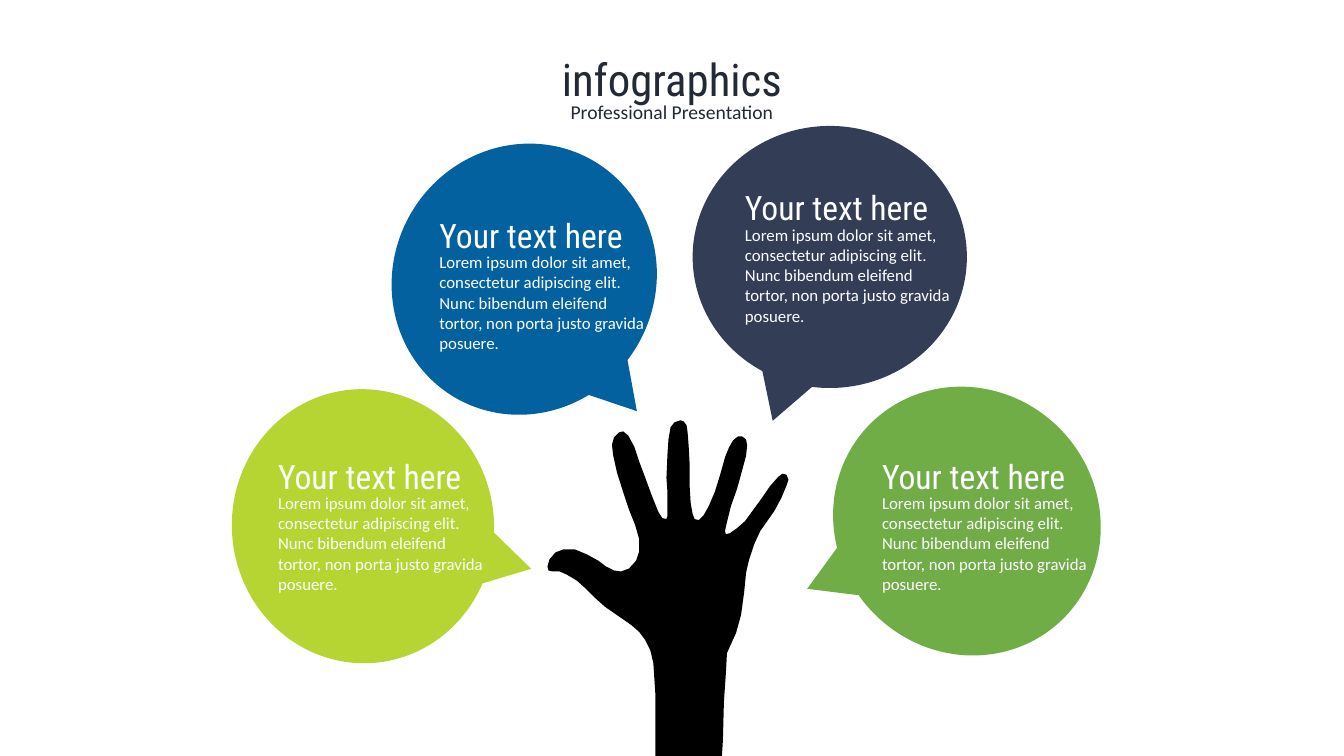
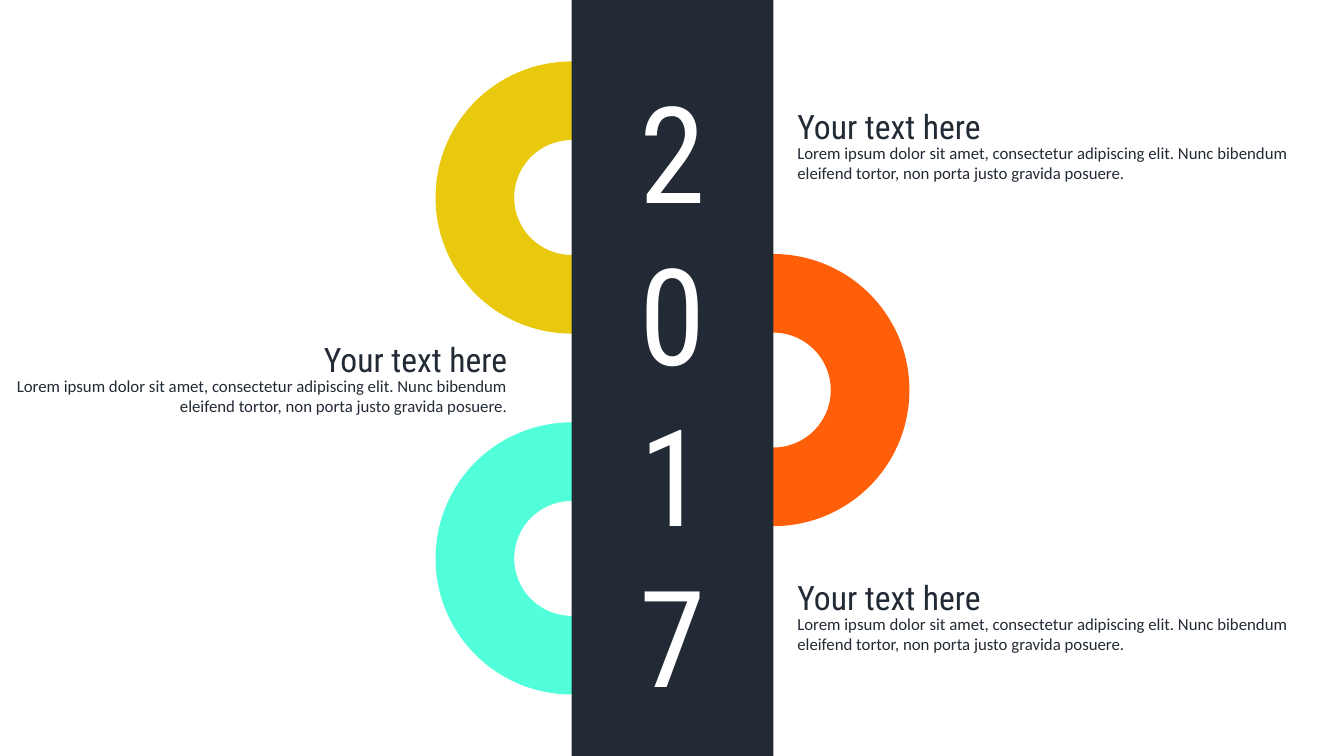
from pptx import Presentation
from pptx.dml.color import RGBColor
from pptx.enum import shapes, text
from pptx.util import Inches, Pt

INK = RGBColor(0x22, 0x2A, 0x35)
WHITE = RGBColor(0xFF, 0xFF, 0xFF)
BLACK = RGBColor(0x00, 0x00, 0x00)
GREEN = RGBColor(0x70, 0xAD, 0x47)
NAVY = RGBColor(0x33, 0x3D, 0x56)
BLUE = RGBColor(0x03, 0x61, 0x9F)
LIME = RGBColor(0xB6, 0xD5, 0x32)
YELLOW = RGBColor(0xE8, 0xC9, 0x0D)
ORANGE = RGBColor(0xFF, 0x5F, 0x09)
AQUA = RGBColor(0x51, 0xFF, 0xDB)

HEADING_FONT = "Roboto Condensed"
BODY_FONT = "Calibri"
LEFT, CENTER, RIGHT = text.PP_ALIGN.LEFT, text.PP_ALIGN.CENTER, text.PP_ALIGN.RIGHT

HEADING = "Your text here"
BODY = ("Lorem ipsum dolor sit amet, consectetur adipiscing elit. "
        "Nunc bibendum eleifend tortor, non porta justo gravida posuere.")

HAND_OUTLINE = [
    (132, 0), (135, 1), (138, 5), (139, 12), (140, 25), (141, 43), (141, 65),
    (142, 82), (144, 93), (146, 98), (150, 99), (155, 94), (160, 85), (166, 71),
    (171, 55), (176, 37), (180, 27), (184, 20), (189, 16), (193, 16), (197, 19),
    (198, 25), (197, 35), (193, 50), (188, 68), (182, 85), (178, 101), (176, 110),
    (177, 113), (181, 112), (188, 107), (196, 100), (204, 89), (212, 78), (221, 65),
    (229, 56), (233, 53), (237, 54), (239, 59), (237, 65), (232, 77), (225, 90),
    (218, 100), (211, 110), (205, 123), (200, 138), (197, 151), (195, 171),
    (192, 193), (187, 211), (178, 231), (177, 250), (175, 279), (174, 318),
    (173, 333), (107, 333), (107, 271), (105, 241), (102, 228), (97, 218),
    (91, 210), (83, 203), (70, 194), (57, 185), (47, 176), (38, 167), (29, 159),
    (19, 153), (12, 150), (5, 150), (1, 149), (0, 145), (2, 138), (8, 131),
    (16, 128), (27, 128), (39, 133), (50, 139), (58, 145), (66, 149), (73, 150),
    (81, 147), (88, 139), (91, 130), (91, 118), (87, 104), (81, 89), (75, 71),
    (69, 52), (65, 34), (64, 24), (66, 17), (71, 12), (75, 11), (80, 15), (86, 26),
    (91, 41), (97, 57), (104, 76), (110, 91), (114, 97), (118, 98), (119, 95),
    (119, 71), (118, 57), (119, 34), (120, 19), (122, 7), (126, 2),
]


def write(frame, content, size, font, color, align=LEFT):
    frame.text = content
    frame.word_wrap = True
    frame.auto_size = text.MSO_AUTO_SIZE.SHAPE_TO_FIT_TEXT
    frame.vertical_anchor = text.MSO_ANCHOR.TOP
    for paragraph in frame.paragraphs:
        paragraph.alignment = align
        for run in paragraph.runs:
            run.font.size = Pt(size)
            run.font.name = font
            run.font.color.rgb = color


def add_label(slide, box, *style):
    label = slide.shapes.add_textbox(*map(Inches, box))
    write(label.text_frame, *style)


def paint(shape, color):
    shape.shadow.inherit = False
    shape.fill.solid()
    shape.fill.fore_color.rgb = color
    shape.line.fill.background()


def add_shape(slide, kind, box, color):
    shape = slide.shapes.add_shape(kind, *map(Inches, box))
    paint(shape, color)
    return shape


def add_header(slide, left, top, width):
    title = slide.shapes.title
    title.left, title.top, title.width, title.height = map(
        Inches, (left, top, width, 0.64))
    write(title.text_frame, "infographics", 32, HEADING_FONT, INK, CENTER)
    add_label(slide, (left, top + 0.48, width, 0.34),
              "Professional Presentation", 14, BODY_FONT, INK, CENTER)


def add_caption(slide, left, top, width, body_height, color, align=LEFT):
    add_label(slide, (left, top + 0.37, width, body_height),
              BODY, 12, BODY_FONT, color, align)
    add_label(slide, (left, top, width, 0.5),
              HEADING, 24, HEADING_FONT, color, align)


def add_hand(slide, left, top):
    outline = slide.shapes.build_freeform(*HAND_OUTLINE[0], scale=Inches(0.01))
    outline.add_line_segments(HAND_OUTLINE[1:], close=True)
    paint(outline.convert_to_shape(Inches(left), Inches(top)), BLACK)


def add_balloon(slide, left, top, rotation, color, caption_drop):
    balloon = add_shape(slide, shapes.MSO_SHAPE.OVAL_CALLOUT,
                        (left, top, 2.72, 2.6), color)
    balloon.rotation = rotation
    add_caption(slide, left + 0.42, top + caption_drop, 2.23, 1.11, WHITE)


def add_ring(slide, center_x, top, color):
    diameter, thickness = 2.7, 0.78
    ring = add_shape(slide, shapes.MSO_SHAPE.DONUT,
                     (center_x - diameter / 2, top, diameter, diameter), color)
    ring.adjustments[0] = thickness / diameter


def add_year_band(slide, left, width, height):
    add_shape(slide, shapes.MSO_SHAPE.RECTANGLE, (left, 0, width, height), INK)
    add_label(slide, (left, 0.64, width, 6.56),
              "\n".join("2017"), 96, HEADING_FONT, WHITE, CENTER)


def build_hand_slide(deck):
    slide = deck.slides.add_slide(deck.slide_layouts[5])
    add_hand(slide, 5.43, 4.17)
    add_header(slide, 0.88, 0.46, 11.57)
    for balloon in [
        (8.23, 3.87, 47.8, GREEN, 0.6),
        (6.87, 1.25, 0, NAVY, 0.56),
        (3.84, 1.47, 300.3, BLUE, 0.61),
        (2.24, 3.92, 265, LIME, 0.55),
    ]:
        add_balloon(slide, *balloon)


def build_year_slide(deck):
    slide = deck.slides.add_slide(deck.slide_layouts[6])
    band_left, band_width = 5.67, 2
    band_right = band_left + band_width
    for ring in [(band_left, 0.61, YELLOW), (band_right, 2.52, ORANGE),
                 (band_left, 4.19, AQUA)]:
        add_ring(slide, *ring)
    add_year_band(slide, band_left, band_width, 7.5)
    for left, top, align in [(7.81, 1, LEFT), (7.81, 5.67, LEFT),
                             (-0.25, 3.31, RIGHT)]:
        add_caption(slide, left, top, 5.38, 0.5, INK, align)


def main():
    deck = Presentation()
    deck.slide_width, deck.slide_height = Inches(13.33), Inches(7.5)
    build_hand_slide(deck)
    build_year_slide(deck)
    deck.save("out.pptx")


if __name__ == "__main__":
    main()
